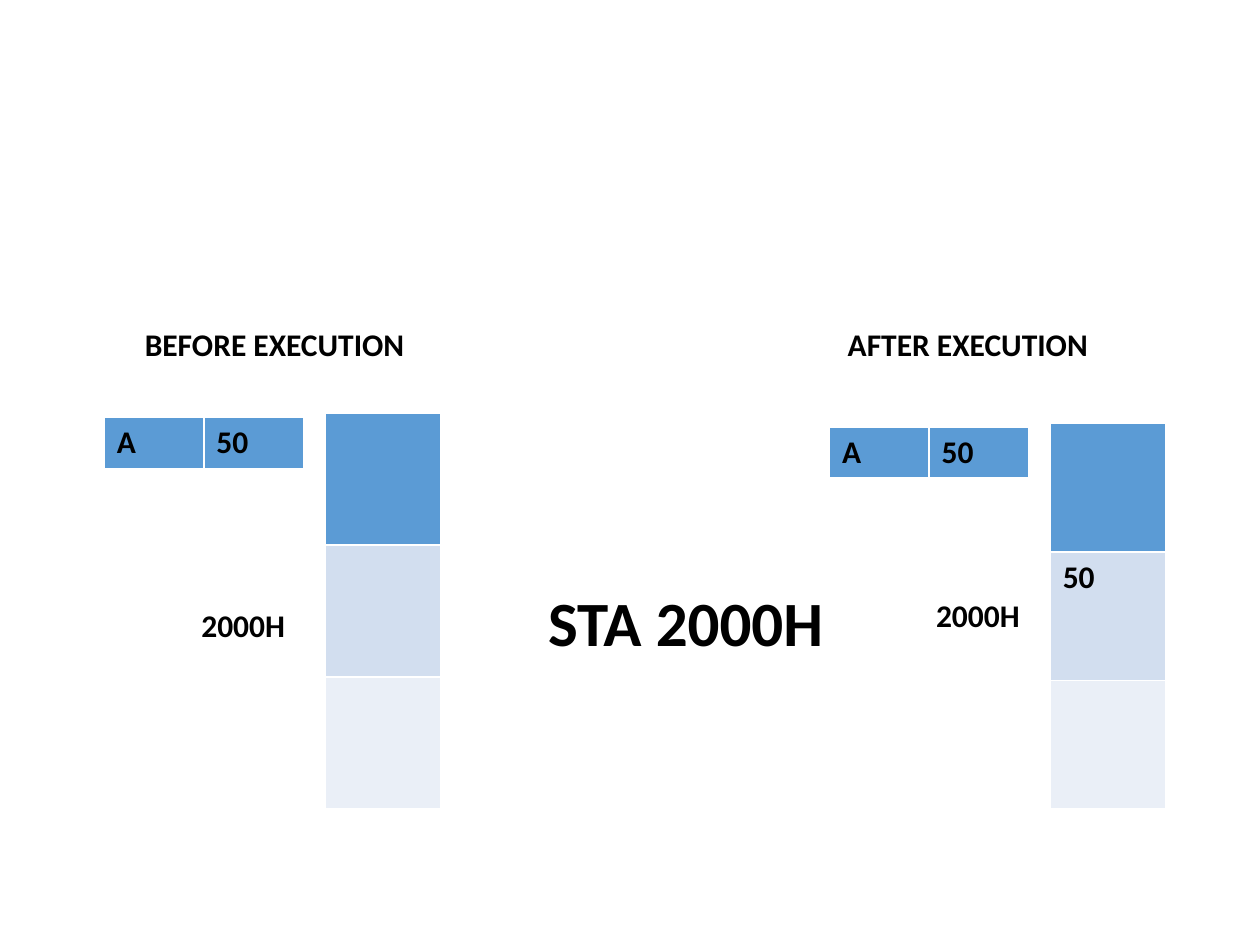
from pptx import Presentation
from pptx.dml.color import RGBColor
from pptx.enum.text import MSO_AUTO_SIZE
from pptx.util import Cm, Pt

FIT_SHAPE = MSO_AUTO_SIZE.SHAPE_TO_FIT_TEXT
BLANK_LAYOUT = 6

COLORS = {"text": "000000", "header": "5B9BD5", "band": "D2DEEF", "light": "EAEFF7"}
ROW_FILLS = ["header", "band", "light"]

REGISTER = [["A", "50"]]
TABLES = [
    {"rows": REGISTER, "box": (2.1, 8.41, 4.02, 1.03)},
    {"rows": [[""], [""], [""]], "box": (6.56, 8.33, 2.33, 7.98)},
    {"rows": REGISTER, "box": (16.72, 8.61, 4.02, 1.03)},
    {"rows": [[""], ["50"], [""]], "box": (21.17, 8.53, 2.33, 7.78)},
]
LABELS = [
    {"text": "AFTER EXECUTION", "box": (16.84, 6.43, 5.38, 1.02), "size": 18, "wrap": False},
    {"text": "BEFORE EXECUTION", "box": (2.67, 6.43, 5.79, 1.02), "size": 18, "wrap": False},
    {"text": "STA 2000H", "box": (10.8, 11.63, 6.55, 1.8), "size": 36, "wrap": True},
    {"text": "2000H", "box": (3.81, 12.09, 3.38, 1.02), "size": 18, "wrap": True},
    {"text": "2000H", "box": (18.62, 11.89, 3.38, 1.02), "size": 18, "wrap": True},
]


def color(name):
    return RGBColor.from_string(COLORS[name])


def write(text_frame, text, size):
    paragraph = text_frame.paragraphs[0]
    paragraph.text = text
    font_format = {"name": "Calibri", "size": Pt(size), "bold": True}
    for attribute, value in font_format.items():
        setattr(paragraph.font, attribute, value)
        for run in paragraph.runs:
            setattr(run.font, attribute, value)
    for run in paragraph.runs:
        run.font.color.rgb = color("text")


def add_grid(slide, rows, box):
    left, top, width, height = box
    table = slide.shapes.add_table(len(rows), len(rows[0]), *map(Cm, box)).table
    for column in table.columns:
        column.width = Cm(width / len(rows[0]))
    for row, texts, fill in zip(table.rows, rows, ROW_FILLS):
        row.height = Cm(height / len(rows))
        for cell, text in zip(row.cells, texts):
            cell.fill.solid()
            cell.fill.fore_color.rgb = color(fill)
            write(cell.text_frame, text, 18)


def add_label(slide, text, box, size, wrap):
    text_frame = slide.shapes.add_textbox(*map(Cm, box)).text_frame
    frame_format = {"word_wrap": wrap, "auto_size": FIT_SHAPE}
    for attribute, value in frame_format.items():
        setattr(text_frame, attribute, value)
    write(text_frame, text, size)


presentation = Presentation()
presentation.slide_width = Cm(25.4)
presentation.slide_height = Cm(19.05)
slide = presentation.slides.add_slide(presentation.slide_layouts[BLANK_LAYOUT])

for table in TABLES:
    add_grid(slide, **table)
for label in LABELS:
    add_label(slide, **label)

presentation.save("out.pptx")
